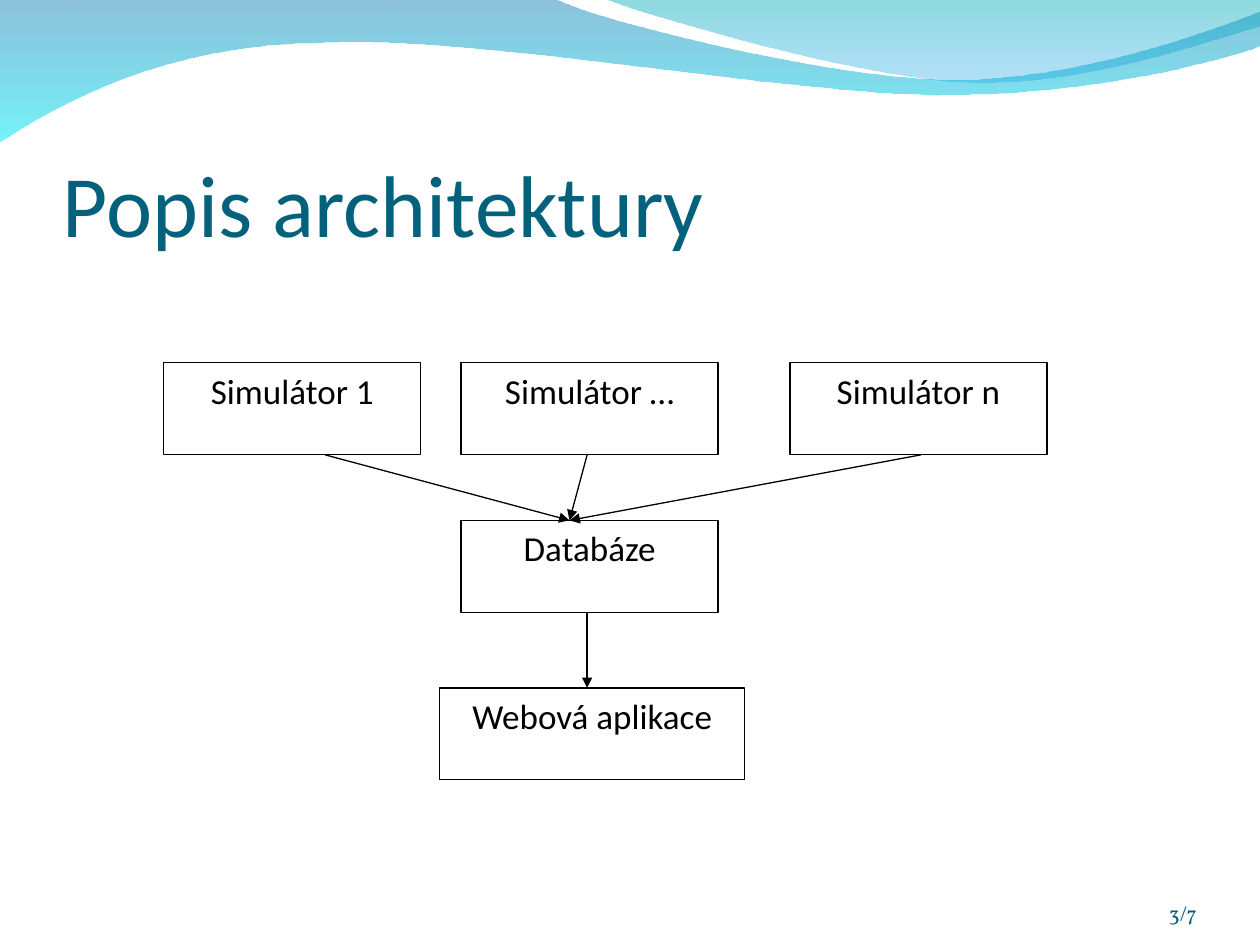
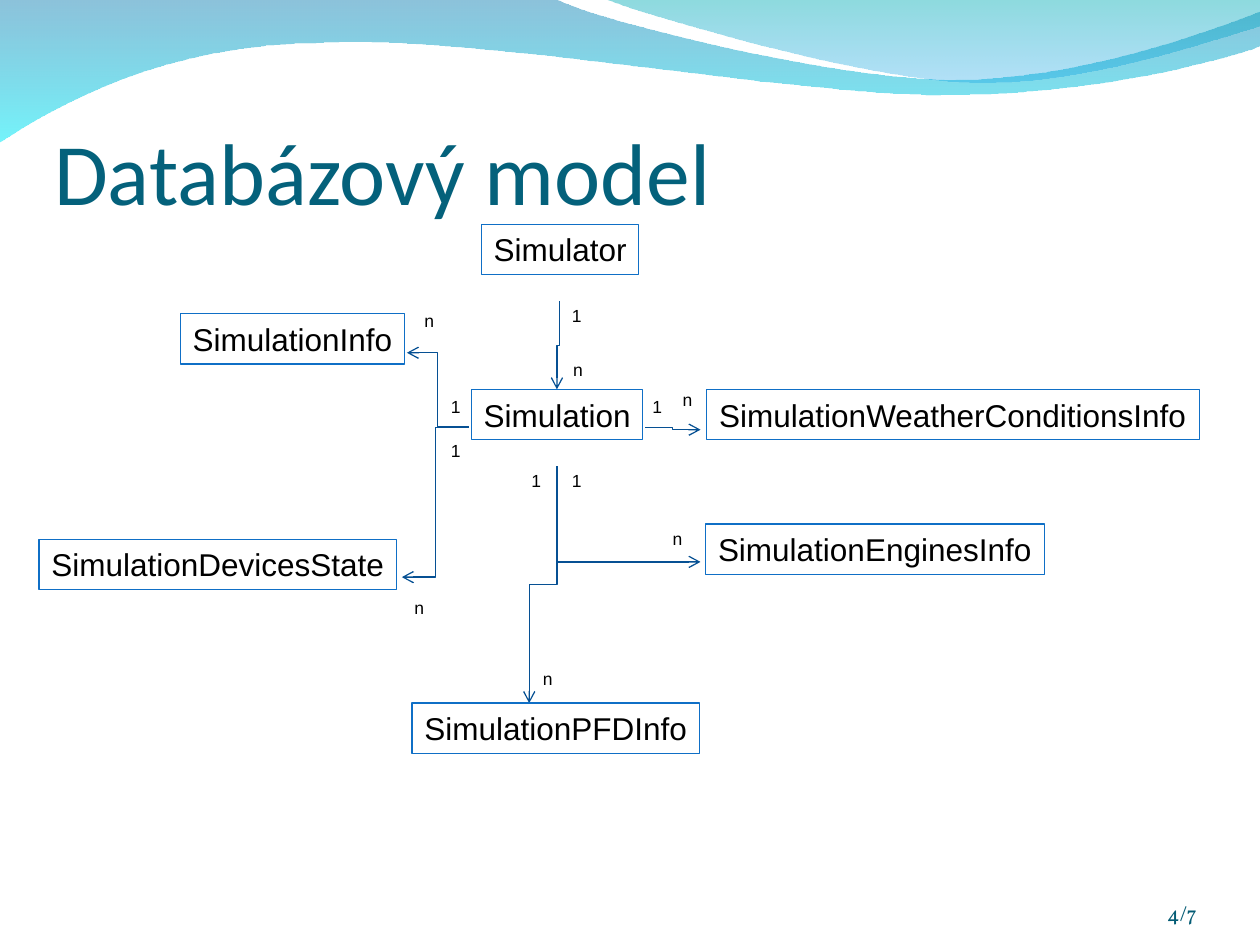
from lxml import etree
from pptx import Presentation
from pptx import util as u
from pptx.dml.color import RGBColor
from pptx.enum import shapes, text
from pptx.oxml.ns import qn

# ---------- Shared look ----------
WIDTH, HEIGHT = 10, 7.5
COLORS = {"title": "04617B", "number": "045C75", "black": "000000", "white": "FFFFFF",
          "entity": "0F6FC6", "relation": "065093"}
FONTS = {"main": "Calibri", "number": "Vollkorn", "model": "Arial"}
LINE_WIDTH = 0.75
INSETS = (0.1, 0.05, 0.1, 0.05)
TOTAL_SLIDES = 7

# Each wave: start, segments (2 numbers = line, 6 = Bézier curve), (colour, opacity %) stops
WAVES = [
    ((0, -0.01),
     [(4.4, -0.01), (4.76, 0.17, 6.64, 0.63, 7.58, 0.63), (8.53, 0.63, 9.58, 0.26, 10, 0.09),
      (10.01, 0.36), (9.83, 0.44, 8.7, 0.76, 7.46, 0.75), (6.22, 0.75, 3.82, 0.28, 2.57, 0.34),
      (1.29, 0.35, 0.46, 0.83, -0.01, 1.13)],
     [("0079AF", 45), ("00EBF8", 55)]),
    ((4.79, -0.01),
     [(5.09, 0.11, 6.82, 0.62, 7.69, 0.65), (8.56, 0.69, 9.61, 0.32, 10, 0.21), (10, 0)],
     [("00ADB6", 45), ("009BE5", 30)]),
]

# ---------- Architecture: boxes as (text, left, top, width), arrows as (from, to) ----------
BOX_WIDTH, BOX_HEIGHT = 2.04, 0.73
SIMULATORS_TOP, DATABASE_TOP, WEB_TOP = 2.88, 4.13, 5.46
ARCHITECTURE_BOXES = [
    ("Simulátor …", 3.66, SIMULATORS_TOP, BOX_WIDTH),
    ("Simulátor 1", 1.3, SIMULATORS_TOP, BOX_WIDTH),
    ("Simulátor n", 6.27, SIMULATORS_TOP, BOX_WIDTH),
    ("Databáze", 3.66, DATABASE_TOP, BOX_WIDTH),
    ("Webová aplikace", 3.49, WEB_TOP, 2.42),
]
SIMULATOR_EXITS = [2.58, 4.66, 7.31]
DATABASE_ENTRY, DATABASE_EXIT = 4.52, 4.66
ARCHITECTURE_ARROWS = [
    ((x, SIMULATORS_TOP + BOX_HEIGHT), (DATABASE_ENTRY, DATABASE_TOP)) for x in SIMULATOR_EXITS
] + [((DATABASE_EXIT, DATABASE_TOP + BOX_HEIGHT), (DATABASE_EXIT, WEB_TOP))]

# ---------- Database model ----------
ENTITY_HEIGHT, LABEL_SIZE = 0.4, 0.27
ENTITY_INSETS = (0.1, 0.05, 0, 0.05)
ENTITIES = [
    ("Simulator", 3.82, 1.78, 1.25),
    ("Simulation", 3.74, 3.09, 1.36),
    ("SimulationInfo", 1.43, 2.49, 1.78),
    ("SimulationWeatherConditionsInfo", 5.61, 3.09, 3.91),
    ("SimulationEnginesInfo", 5.6, 4.16, 2.69),
    ("SimulationDevicesState", 0.31, 4.28, 2.84),
    ("SimulationPFDInfo", 3.27, 5.58, 2.28),
]
LEFT_EXIT, RIGHT_EXIT, BOTTOM_EXIT = (3.72, 3.39), (5.12, 3.39), (4.42, 3.7)
# Route: "across" leaves sideways, "down" leaves downwards, "corner" goes down and turns once
RELATIONS = [
    ((4.44, 2.39), (4.42, 3.09), "down"),
    (LEFT_EXIT, (3.23, 2.8), "across"),
    (LEFT_EXIT, (3.19, 4.58), "across"),
    (RIGHT_EXIT, (5.56, 3.41), "across"),
    (BOTTOM_EXIT, (5.56, 4.46), "corner"),
    (BOTTOM_EXIT, (4.2, 5.58), "down"),
]
MULTIPLICITIES = {
    "1": [(4.44, 2.37), (5.08, 3.09), (4.44, 3.68), (4.12, 3.68), (3.48, 3.09), (3.48, 3.44)],
    "n": [(4.45, 2.8), (5.32, 3.04), (5.24, 4.14), (4.21, 5.25), (3.19, 4.69), (3.27, 2.41)],
}


# ---------- Drawing helpers ----------
def rgb(name):
    return RGBColor.from_string(COLORS.get(name, name))


def inches(values):
    return [u.Inches(value) for value in values]


def write(shape, content, size, font, color="black", align=text.PP_ALIGN.LEFT,
          anchor=text.MSO_ANCHOR.TOP, insets=INSETS, wrap=True, space_after=0):
    frame = shape.text_frame
    frame.word_wrap = wrap
    frame.auto_size = (text.MSO_AUTO_SIZE.NONE if wrap
                       else text.MSO_AUTO_SIZE.SHAPE_TO_FIT_TEXT)
    frame.vertical_anchor = anchor
    (frame.margin_left, frame.margin_top,
     frame.margin_right, frame.margin_bottom) = inches(insets)
    paragraph = frame.paragraphs[0]
    paragraph.alignment = align
    paragraph.space_after = u.Pt(space_after)
    run = paragraph.add_run()
    run.text = content
    run.font.size, run.font.name = u.Pt(size), FONTS[font]
    run.font.color.rgb = rgb(color)


def add_text(slide, box, content, size, font, **style):
    write(slide.shapes.add_textbox(*inches(box)), content, size, font, **style)


def add_box(slide, box, content, size, font, line, fill=None, **style):
    shape = slide.shapes.add_shape(shapes.MSO_SHAPE.RECTANGLE, *inches(box))
    shape.shadow.inherit = False
    if fill:
        shape.fill.solid()
        shape.fill.fore_color.rgb = rgb(fill)
    else:
        shape.fill.background()
    shape.line.color.rgb = rgb(line)
    shape.line.width = u.Pt(LINE_WIDTH)
    write(shape, content, size, font, **style)


def add_arrow(slide, start, end, color, head, kind=shapes.MSO_CONNECTOR.STRAIGHT):
    connector = slide.shapes.add_connector(kind, *inches(start + end))
    connector.line.color.rgb = rgb(color)
    connector.line.width = u.Pt(LINE_WIDTH)
    properties = connector._element.spPr
    etree.SubElement(properties.find(qn("a:ln")), qn("a:tailEnd"), type=head)
    etree.SubElement(properties, qn("a:effectLst"))
    return connector


def add_relation(slide, start, end, route):
    if route != "across":
        # Swap the extents around the centre, then turn the connector a quarter
        center_x, center_y = (start[0] + end[0]) / 2, (start[1] + end[1]) / 2
        half_x, half_y = abs(end[1] - start[1]) / 2, abs(end[0] - start[0]) / 2
        if route == "corner":
            half_x = -half_x
        start = (center_x - half_x, center_y - half_y)
        end = (center_x + half_x, center_y + half_y)
    connector = add_arrow(slide, start, end, "relation", "arrow", shapes.MSO_CONNECTOR.ELBOW)
    properties = connector._element.spPr
    if route != "across":
        degrees = 270 if route == "corner" else 90
        properties.find(qn("a:xfrm")).set("rot", str(degrees * 60000))
    if route == "corner":
        properties.find(qn("a:prstGeom")).set("prst", "bentConnector2")


def bend(wave, segments):
    """Turn the straight segments that have control points into Bézier curves."""
    lines = list(wave._element.iter(qn("a:lnTo")))
    for line, segment in zip(lines, segments):
        if len(segment) == 6:
            curve = etree.Element(qn("a:cubicBezTo"))
            for x, y in zip(segment[::2], segment[1::2]):
                etree.SubElement(curve, qn("a:pt"), x=str(u.Inches(x) - wave.left),
                                 y=str(u.Inches(y) - wave.top))
            line.getparent().replace(line, curve)


def add_wave(slide, start, segments, stops):
    builder = slide.shapes.build_freeform(*inches(start), scale=1.0)
    builder.add_line_segments([inches(segment[-2:]) for segment in segments], close=True)
    wave = builder.convert_to_shape()
    bend(wave, segments)
    wave.shadow.inherit = False
    wave.line.fill.background()
    wave.fill.gradient()
    wave.fill.gradient_angle = 270
    for position, (stop, (color, _)) in enumerate(zip(wave.fill.gradient_stops, stops)):
        stop.position = position
        stop.color.rgb = rgb(color)
    for element, (_, opacity) in zip(wave._element.spPr.iter(qn("a:srgbClr")), stops):
        etree.SubElement(element, qn("a:alpha"), val=str(opacity * 1000))


def add_slide(presentation, title, title_position, number):
    slide = presentation.slides.add_slide(presentation.slide_layouts[6])
    slide.background.fill.solid()
    slide.background.fill.fore_color.rgb = rgb("white")
    for wave in WAVES:
        add_wave(slide, *wave)
    add_text(slide, (*title_position, 9, 1.25), title, 50, "main", color="title",
             anchor=text.MSO_ANCHOR.BOTTOM, insets=(0, 0.05, 0, 0))
    add_text(slide, (8.67, 6.95, 0.83, 0.4), f"{number}/{TOTAL_SLIDES}", 12, "number",
             color="number", align=text.PP_ALIGN.RIGHT,
             anchor=text.MSO_ANCHOR.BOTTOM, insets=(0, 0, 0, 0))
    return slide


# ---------- Slides ----------
def build_architecture(presentation):
    slide = add_slide(presentation, "Popis architektury", (0.5, 0.77), 3)
    for content, left, top, width in ARCHITECTURE_BOXES:
        add_box(slide, (left, top, width, BOX_HEIGHT), content, 20, "main", "black",
                fill="white", align=text.PP_ALIGN.CENTER, space_after=10)
    for start, end in ARCHITECTURE_ARROWS:
        add_arrow(slide, start, end, "black", "triangle")


def build_database_model(presentation):
    slide = add_slide(presentation, "Databázový model", (0.43, 0.52), 4)
    for relation in RELATIONS:
        add_relation(slide, *relation)
    for content, left, top, width in ENTITIES:
        add_box(slide, (left, top, width, ENTITY_HEIGHT), content, 18, "model", "entity",
                insets=ENTITY_INSETS)
    for label, positions in MULTIPLICITIES.items():
        for position in positions:
            add_text(slide, (*position, LABEL_SIZE, LABEL_SIZE), label, 10, "model", wrap=False)


def main():
    presentation = Presentation()
    presentation.slide_width, presentation.slide_height = inches((WIDTH, HEIGHT))
    build_architecture(presentation)
    build_database_model(presentation)
    presentation.save("out.pptx")


if __name__ == "__main__":
    main()
